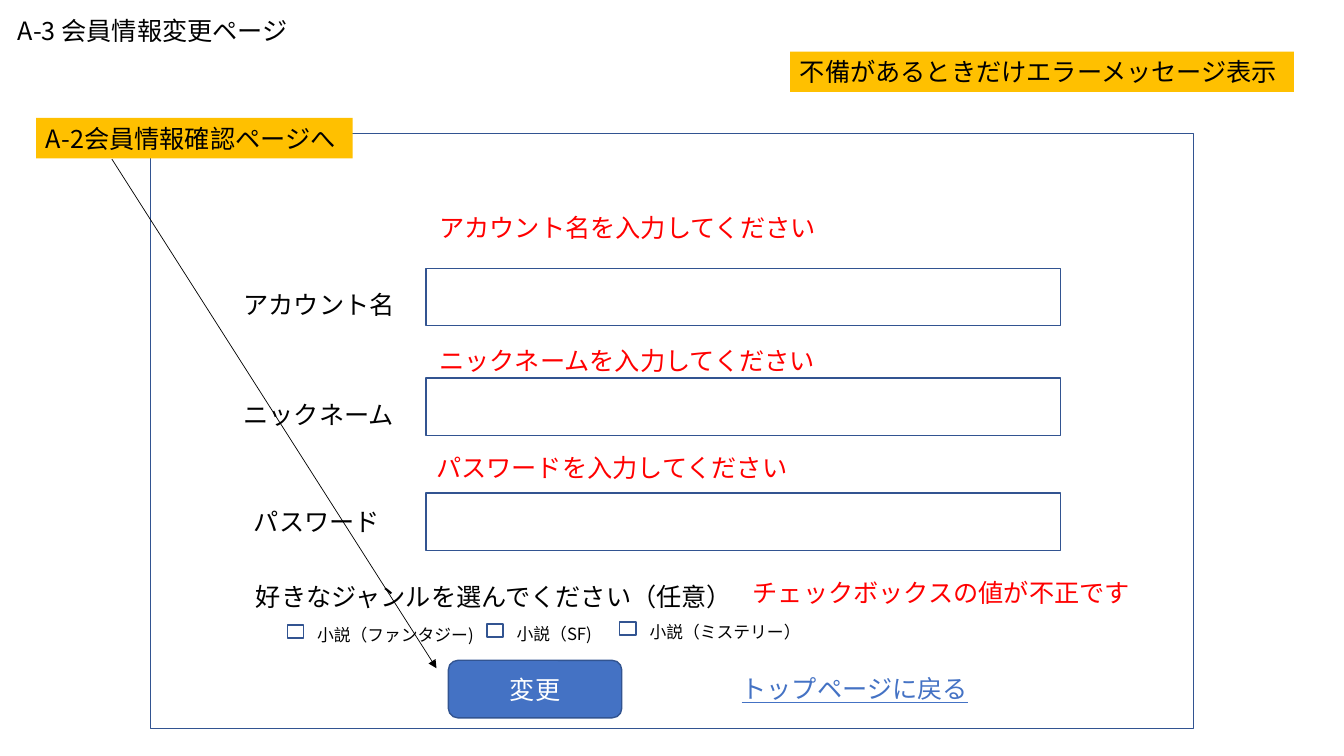
from lxml import etree
from pptx import Presentation
from pptx.dml.color import RGBColor
from pptx.enum import shapes, text
from pptx.oxml import ns
from pptx.util import Cm, Pt

BLACK = RGBColor(0, 0, 0)
WHITE = RGBColor(255, 255, 255)
RED = RGBColor(255, 0, 0)
BLUE = RGBColor(0x44, 0x72, 0xC4)
NAVY = RGBColor(0x32, 0x54, 0x91)
AMBER = RGBColor(255, 0xC0, 0)
FONT = "Noto Sans CJK JP"
LINE_HEIGHT = 1.02
FIELD_HEIGHT = 1.45
FRAME = (3.79, 3.36, 26.29, 15.0)


def write(shape, words, size=18, color=BLACK, underline=None, wrap=False,
          align=text.PP_ALIGN.LEFT, anchor=text.MSO_ANCHOR.TOP):
    frame = shape.text_frame
    frame.word_wrap = wrap
    frame.auto_size = text.MSO_AUTO_SIZE.NONE
    frame.vertical_anchor = anchor
    frame.margin_left = frame.margin_right = Cm(0.25)
    frame.margin_top = frame.margin_bottom = Cm(0.13)
    paragraph = frame.paragraphs[0]
    paragraph.alignment = align
    run = paragraph.add_run()
    run.text = words
    run.font.size = Pt(size)
    run.font.color.rgb = color
    run.font.underline = underline
    run.font.name = FONT
    east_asian = etree.SubElement(run.font._element, ns.qn("a:ea"))
    east_asian.set("typeface", FONT)


def add_text(slide, box, words, **style):
    shape = slide.shapes.add_textbox(*map(Cm, box))
    write(shape, words, **style)
    return shape


def add_box(slide, box, fill=None, line=NAVY, kind=shapes.MSO_SHAPE.RECTANGLE):
    shape = slide.shapes.add_shape(kind, *map(Cm, box))
    shape.shadow.inherit = False
    if fill is None:
        shape.fill.background()
    else:
        shape.fill.solid()
        shape.fill.fore_color.rgb = fill
    shape.line.color.rgb = line
    shape.line.width = Pt(1)
    return shape


def add_title(slide, box, words):
    title = slide.shapes.title
    title.left, title.top, title.width, title.height = map(Cm, box)
    write(title, words)


def add_fields(slide, box):
    left, top = box[:2]
    fields = [
        ("アカウント名", 2.1, 3.8, 3.4, 7.03, 1.87),
        ("ニックネーム", 2.1, 6.57, 6.17, 7.03, 5.2),
        ("パスワード", 2.36, 9.27, 9.06, 6.95, 7.92),
    ]
    for name, label_x, label_y, input_y, error_x, error_y in fields:
        add_text(slide, (left + label_x, top + label_y, 4.37, LINE_HEIGHT), name)
        add_box(slide, (left + 6.95, top + input_y, 15.98, FIELD_HEIGHT), WHITE)
        add_text(slide, (left + error_x, top + error_y, 10.13, LINE_HEIGHT),
                 name + "を入力してください", color=RED)


def add_genres(slide, box):
    left, top = box[:2]
    add_text(slide, (left + 2.41, top + 11.17, 12.7, LINE_HEIGHT),
             "好きなジャンルを選んでください（任意）")
    add_text(slide, (left + 14.93, top + 11.07, 10.13, LINE_HEIGHT),
             "チェックボックスの値が不正です", color=RED)
    genres = [
        ("小説（ファンタジー)", 3.45, 12.39, 4.52),
        ("小説（SF)", 8.48, 12.36, 2.49),
        ("小説（ミステリー）", 11.83, 12.31, 4.37),
    ]
    for genre, x, y, width in genres:
        add_box(slide, (left + x, top + y, 0.41, 0.33))
        add_text(slide, (left + x + 0.5, top + y - 0.14, width, 0.76), genre,
                 size=12, wrap=True)


def add_actions(slide, box):
    left, top = box[:2]
    button = add_box(slide, (left + 7.51, top + 13.28, 4.37, FIELD_HEIGHT), BLUE,
                     kind=shapes.MSO_SHAPE.ROUNDED_RECTANGLE)
    write(button, "変更", color=WHITE, align=text.PP_ALIGN.CENTER,
          anchor=text.MSO_ANCHOR.MIDDLE)
    add_text(slide, (left + 14.65, top + 13.48, 6.27, LINE_HEIGHT),
             "トップページに戻る", color=BLUE, underline=True)


def add_note(slide, box, words):
    note = add_text(slide, box, words)
    note.fill.solid()
    note.fill.fore_color.rgb = AMBER


def add_arrow(slide, start, end):
    arrow = slide.shapes.add_connector(
        shapes.MSO_CONNECTOR.STRAIGHT, *map(Cm, start + end))
    arrow.line.color.rgb = BLACK
    arrow.line.width = Pt(0.5)
    etree.SubElement(arrow.line._get_or_add_ln(), ns.qn("a:tailEnd"), type="triangle")
    etree.SubElement(arrow._element.spPr, ns.qn("a:effectLst"))


def build_member_edit_slide(presentation):
    slide = presentation.slides.add_slide(presentation.slide_layouts[5])
    add_title(slide, (0.2, 0.25, 7.52, LINE_HEIGHT), "A-3 会員情報変更ページ")
    add_box(slide, FRAME)
    add_fields(slide, FRAME)
    add_genres(slide, FRAME)
    add_actions(slide, FRAME)
    add_note(slide, (19.91, 1.3, 12.7, LINE_HEIGHT), "不備があるときだけエラーメッセージ表示")
    add_note(slide, (0.91, 2.97, 7.98, LINE_HEIGHT), "A-2会員情報確認ページへ")
    add_arrow(slide, (2.82, 4.01), (11, 16.84))


presentation = Presentation()
presentation.slide_width = Cm(33.87)
presentation.slide_height = Cm(19.05)
build_member_edit_slide(presentation)
presentation.save("out.pptx")
